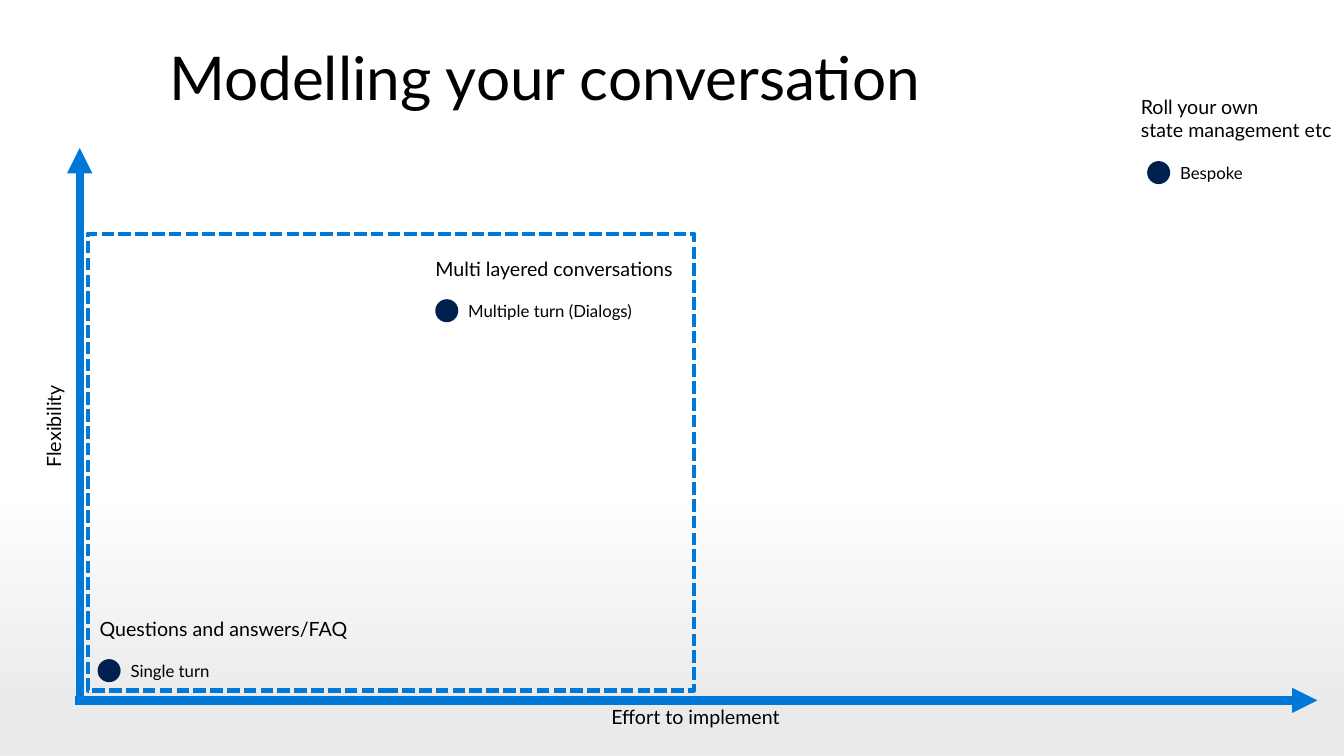
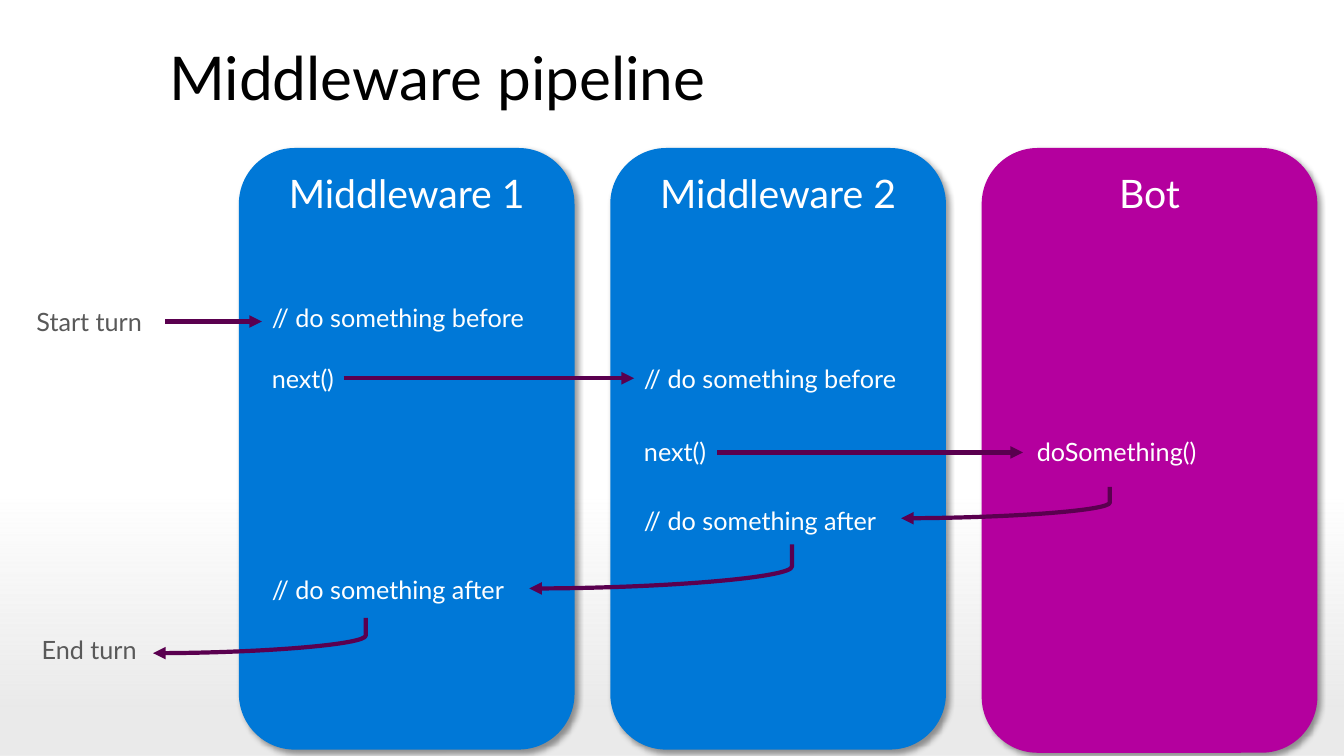
import pptx
import pptx.dml.color
import pptx.enum.dml
import pptx.enum.shapes
import pptx.enum.text
import pptx.oxml
import pptx.oxml.ns
import pptx.util
from pptx.util import Cm

FONT = "Lato"
BLACK, WHITE, GREY = "000000", "FFFFFF", "595959"
BLUE, NAVY, MAGENTA, PLUM = "0078D7", "002050", "B4009E", "5A004F"
BAND = "EAEAEA"

SHAPES = pptx.enum.shapes.MSO_SHAPE
CONNECTORS = pptx.enum.shapes.MSO_CONNECTOR
ALIGN = pptx.enum.text.PP_ALIGN
ANCHOR = pptx.enum.text.MSO_ANCHOR
NO_AUTOSIZE = pptx.enum.text.MSO_AUTO_SIZE.NONE

TITLE_BOX = {"left": Cm(4.01), "top": Cm(0.79), "width": Cm(29.85), "height": Cm(2.49)}
TITLE_FRAME = {"word_wrap": True, "vertical_anchor": ANCHOR.MIDDLE, "auto_size": NO_AUTOSIZE}
TEXT_FRAME = {"word_wrap": True, "vertical_anchor": ANCHOR.TOP, "auto_size": NO_AUTOSIZE}

DOT = 0.58
# name, dot left, dot top, caption, caption left, caption top, caption width
CONVERSATIONS = [
    ("Multiple turn (Dialogs)", 10.97, 7.54, "Multi layered conversations", 10.72, 6.35, 7),
    ("Single turn", 2.46, 16.61, "Questions and answers/FAQ", 2.26, 15.42, 8),
    ("Bespoke", 28.91, 4.06, "Roll your own\nstate management etc", 28.5, 2.26, 5.36),
]

COLUMN_LEFT, COLUMN_STEP, COLUMN_TOP, COLUMN_WIDTH = 6.02, 9.36, 3.73, 8.46
STAGES = [("Middleware 1", BLUE, 15.16), ("Middleware 2", BLUE, 15.16), ("Bot", MAGENTA, 15.24)]
FIRST_CODE, SECOND_CODE, BOT_CODE = 6.6, 15.98, 25.88
CODE_HEIGHT = 1.02
SECOND_BEFORE_TOP = 9.02
CALLS = [
    ("// do something before", FIRST_CODE, 7.49),
    ("next()", FIRST_CODE, 9.02),
    ("// do something after", FIRST_CODE, 14.35),
    ("next()", SECOND_CODE, 10.87),
    ("// do something after", SECOND_CODE, 12.6),
    ("doSomething()", BOT_CODE, 10.87),
]
FORWARD = [((4.17, 8.1), (6.6, 8.1)), ((18.08, 11.4), (25.78, 11.4))]
RETURNS = [
    ((27.97, 12.27), (22.71, 13.06)),
    ((19.96, 13.72), (13.34, 14.83)),
    ((9.22, 15.57), (3.86, 16.46)),
]


def rgb(value):
    return pptx.dml.color.RGBColor.from_string(value)


def apply(target, values):
    for name, value in values.items():
        setattr(target, name, value)


def xml(markup):
    """Parse one element whose root tag is written without its namespace."""
    tag, rest = markup[1:].split(" ", 1)
    return pptx.oxml.parse_xml(f"<{tag} {pptx.oxml.ns.nsdecls('a')} {rest}")


def write(frame, text, size, color, align=ALIGN.LEFT, spacing=None, frame_format=TEXT_FRAME):
    apply(frame, frame_format)
    frame.text = text
    for paragraph in frame.paragraphs:
        apply(paragraph, {"alignment": align, "line_spacing": spacing})
        for run in paragraph.runs:
            apply(run.font, {"name": FONT, "size": pptx.util.Pt(size)})
            run.font.color.rgb = rgb(color)


def add_label(shapes, text, left, top, width, height, size, color=BLACK, align=ALIGN.LEFT):
    label = shapes.add_textbox(Cm(left), Cm(top), Cm(width), Cm(height))
    write(label.text_frame, text, size, color, align)
    return label


def add_filled(shapes, kind, left, top, width, height, fill=None):
    """Add a shape with no outline and no shadow; no fill when none is given."""
    shape = shapes.add_shape(kind, Cm(left), Cm(top), Cm(width), Cm(height))
    shape.shadow.inherit = False
    shape.line.fill.background()
    if fill:
        shape.fill.solid()
        shape.fill.fore_color.rgb = rgb(fill)
    else:
        shape.fill.background()
    return shape


def add_arrow(shapes, start, end, color, weight, kind=CONNECTORS.STRAIGHT):
    arrow = shapes.add_connector(kind, *(Cm(v) for v in (*start, *end)))
    arrow.line.color.rgb = rgb(color)
    arrow.line.width = pptx.util.Pt(weight)
    properties = arrow.element.spPr
    properties.find(pptx.oxml.ns.qn("a:ln")).append(xml('<a:tailEnd type="triangle"/>'))
    properties.append(xml("<a:effectLst />"))
    return arrow


def add_return_arrow(shapes, start, end):
    """Drop straight down from the start, then bend towards the end."""
    arrow = add_arrow(shapes, start, end, PLUM, 3, CONNECTORS.CURVE)
    adjustments = arrow.element.spPr.find(".//" + pptx.oxml.ns.qn("a:avLst"))
    adjustments.append(xml('<a:gd name="adj1" fmla="val 0"/>'))


def add_column(shapes, name, color, left, height):
    column = add_filled(shapes, SHAPES.ROUNDED_RECTANGLE, left, COLUMN_TOP,
                        COLUMN_WIDTH, height, color)
    column.element.spPr.find(pptx.oxml.ns.qn("a:effectLst")).append(xml(
        '<a:outerShdw blurRad="50800" dist="38100" dir="2700000" algn="tl" rotWithShape="0">'
        f'<a:srgbClr val="{BLACK}"><a:alpha val="40000"/></a:srgbClr></a:outerShdw>'))
    write(column.text_frame, name, 28, WHITE, ALIGN.CENTER)


def add_point(shapes, name, left, top):
    point = shapes.add_group_shape().shapes
    add_filled(point, SHAPES.OVAL, left, top, DOT, DOT, NAVY)
    add_label(point, name, left + DOT, top - 0.08, 5, 0.76, 12)


def set_up_layout(layout, slide):
    """Give the layout its title place and the band fading in at the foot."""
    apply(layout.placeholders[0], TITLE_BOX)
    band = add_filled(slide.shapes, SHAPES.RECTANGLE, 0, 11.05, 33.87, 8, BAND)
    properties = band.element.spPr
    solid = properties.find(pptx.oxml.ns.qn("a:solidFill"))
    properties.replace(solid, xml(
        '<a:gradFill rotWithShape="1"><a:gsLst>'
        f'<a:gs pos="19000"><a:srgbClr val="{BAND}"><a:alpha val="0"/></a:srgbClr></a:gs>'
        f'<a:gs pos="86000"><a:srgbClr val="{BAND}"/></a:gs>'
        '</a:gsLst><a:lin ang="5400000" scaled="0"/></a:gradFill>'))
    layout.shapes.element.insert(2, band.element)


def set_title(slide, text):
    write(slide.shapes.title.text_frame, text, 43.1, BLACK,
          spacing=0.9, frame_format=TITLE_FRAME)


def build_conversation(slide):
    set_title(slide, "Modelling your conversation")
    shapes = slide.shapes
    add_arrow(shapes, (2.01, 17.75), (2.01, 3.73), BLUE, 6)
    add_arrow(shapes, (1.88, 17.65), (33.2, 17.65), BLUE, 6)
    flexibility = add_label(shapes, "Flexibility", -0.15, 10.31, 3, 0.86, 14, align=ALIGN.CENTER)
    flexibility.rotation = 270
    add_label(shapes, "Effort to implement", 1.88, 17.65, 31.3, 0.86, 14, align=ALIGN.CENTER)
    for name, left, top, caption, caption_left, caption_top, width in CONVERSATIONS:
        add_point(shapes, name, left, top)
        add_label(shapes, caption, caption_left, caption_top, width, 0.86, 14)
    scope = add_filled(shapes, SHAPES.RECTANGLE, 2.21, 5.89, 15.29, 11.51)
    scope.line.color.rgb = rgb(BLUE)
    apply(scope.line, {"width": pptx.util.Pt(3),
                       "dash_style": pptx.enum.dml.MSO_LINE.SQUARE_DOT})


def build_pipeline(slide):
    set_title(slide, "Middleware pipeline")
    shapes = slide.shapes
    for index, (name, color, height) in enumerate(STAGES):
        add_column(shapes, name, color, COLUMN_LEFT + index * COLUMN_STEP, height)
    for text, top in (("Start turn", 7.59), ("End turn", 15.85)):
        add_label(shapes, text, 0, top, 4.5, CODE_HEIGHT, 18, GREY, ALIGN.CENTER)
    for text, left, top in CALLS:
        add_label(shapes, text, left, top, 7.4, CODE_HEIGHT, 18, WHITE)
    second_before = add_label(shapes, "// do something before", SECOND_CODE,
                              SECOND_BEFORE_TOP, 7.4, CODE_HEIGHT, 18, WHITE)
    middle = SECOND_BEFORE_TOP + CODE_HEIGHT / 2
    hand_over = add_arrow(shapes, (8.66, middle), (SECOND_CODE, middle), PLUM, 3)
    hand_over.end_connect(second_before, 1)
    for start, end in FORWARD:
        add_arrow(shapes, start, end, PLUM, 3)
    for start, end in RETURNS:
        add_return_arrow(shapes, start, end)


def main():
    deck = pptx.Presentation()
    apply(deck, {"slide_width": Cm(33.87), "slide_height": Cm(19.05)})
    layout = deck.slide_layouts.get_by_name("Title Only")
    conversation, pipeline = (deck.slides.add_slide(layout) for _ in range(2))
    set_up_layout(layout, conversation)
    build_conversation(conversation)
    build_pipeline(pipeline)
    deck.save("out.pptx")


if __name__ == "__main__":
    main()
